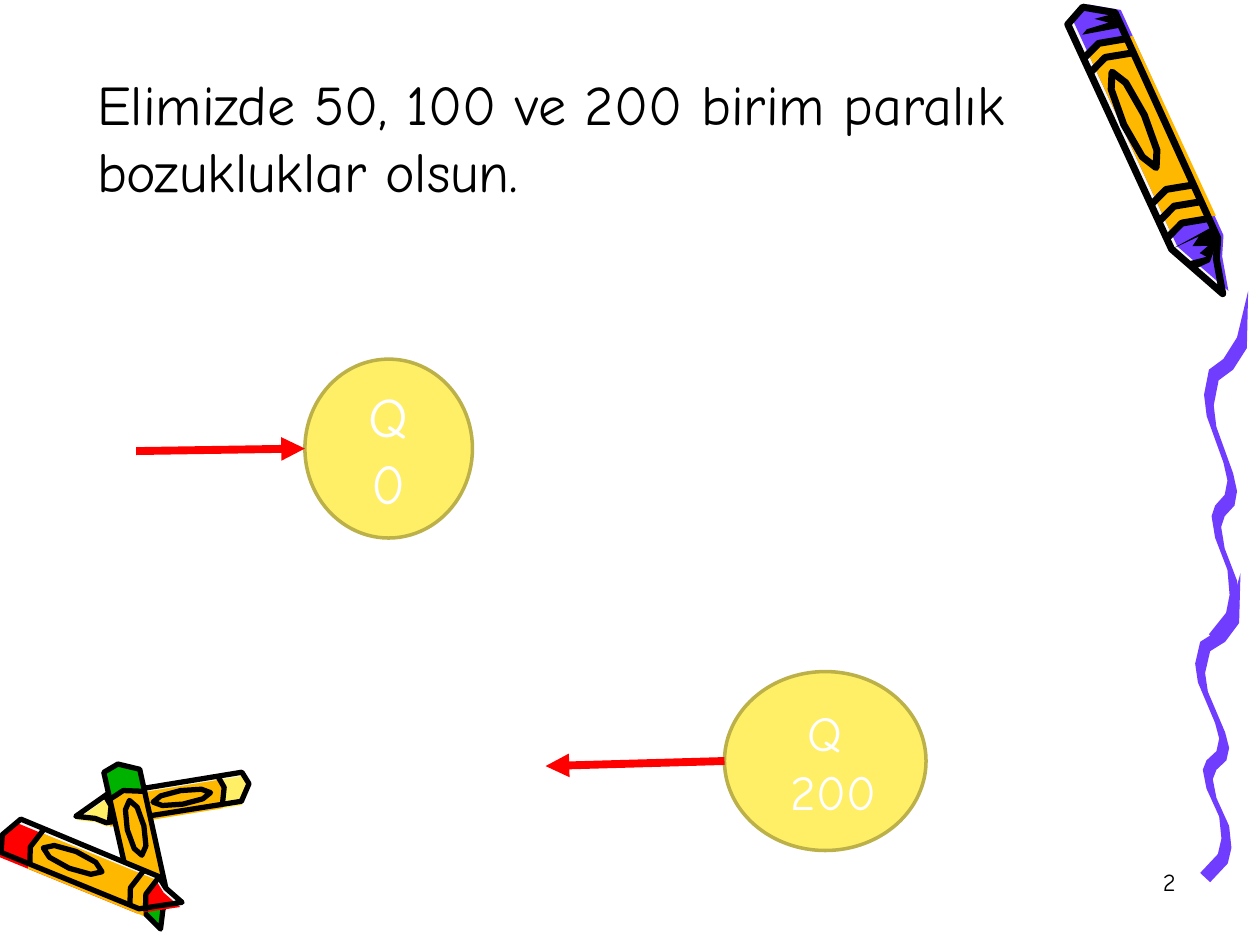
"""Build a crayon-themed slide with two coin automaton states."""
from dataclasses import dataclass
from math import cos, hypot, pi, sin

from lxml.etree import SubElement
from pptx import Presentation
from pptx.dml.color import RGBColor
from pptx.enum.shapes import MSO_CONNECTOR, MSO_SHAPE
from pptx.enum.text import MSO_ANCHOR, PP_ALIGN
from pptx.oxml.ns import qn
from pptx.util import Inches, Pt

Point = tuple[float, float]

COLORS = {
    "purple": "703DFF", "orange": "FFB800", "paper": "F8F8F8", "yellow": "FFEF66",
    "red": "FF0000", "green": "00B200", "black": "000000", "white": "FFFFFF", "olive": "BCB049",
}
FONT = "Comic Neue"

CRAYON_OUTLINE = [(0, -1), (-0.03, -0.17), (0.03, 0.9), (0.83, 0.85), (0.89, 0.45), (1, 0.1), (0.8, -1)]
CAP_TEETH = [(0.05, -0.65), (0.08, 0.8), (0.03, 0.75), (0.02, 0.05), (0.05, 0.5), (0.04, -0.4)]
NIB_TEETH = [(0.8, -1), (0.79, 0.85), (0.83, 0.9), (0.89, 0.16), (0.89, -0.4), (0.86, -0.54), (0.87, 0.13),
             (0.85, -0.05), (0.84, 0.37), (0.82, -0.2), (0.8, 0.2)]
WAVE_SPINE = [(1, 0), (0.75, 0.13), (0.44, 0.19), (0.11, 0.22), (0, 0.29), (0.06, 0.35), (0.44, 0.48),
              (0.53, 0.53), (0.47, 0.57), (0.25, 0.6), (0.17, 0.63), (0.25, 0.69), (0.53, 0.78),
              (0.58, 0.85), (0.5, 0.9), (0.11, 0.96)]
WAVE_PEN = (0.22, 0.03)


@dataclass
class Crayon:
    """Crayon along an axis; bands are fractions of its length, slip shifts its colours sideways."""
    cap: Point
    tip: Point
    half_width: float
    color: str
    bands: tuple[float, ...]
    slip: float = 0
    ink: float = 3
    emblem_offset: float = 0
    toothed: bool = False

    @property
    def length(self) -> float:
        """Return the distance from cap to tip."""
        return hypot(self.tip[0] - self.cap[0], self.tip[1] - self.cap[1])

    def locate(self, points: list[Point], slip: float = 0) -> list[Point]:
        """Turn (fraction along, half-widths across) into slide inches."""
        run, rise = self.tip[0] - self.cap[0], self.tip[1] - self.cap[1]
        placed = []
        for along, across in points:
            offset = (across * self.half_width + slip) / self.length
            placed.append((self.cap[0] + along * run + offset * rise,
                           self.cap[1] + along * rise - offset * run))
        return placed

    def band(self, along: float) -> list[Point]:
        """Return a line across the barrel, bowed towards the cap."""
        bow = 0.15 * self.half_width / self.length
        return [(along + bow, -1), (along - bow, -0.2), (along + bow, 0.9)]


@dataclass
class Wave:
    """Box filled by one wavy pen stroke."""
    left: float
    top: float
    width: float
    height: float


@dataclass
class State:
    """Automaton state with its label lines."""
    left: float
    top: float
    width: float
    height: float
    lines: list[str]
    size: int


@dataclass
class Arrow:
    """Straight arrow between two points."""
    start: Point
    end: Point


CRAYONS = [
    Crayon((1.94, 6.25), (0.6, 6.47), 0.12, "yellow", (0.13, 0.8), slip=0.03),
    Crayon((0.97, 6.1), (1.26, 7.38), 0.15, "green", (0.15, 0.8)),
    Crayon((0.07, 6.62), (1.44, 7.18), 0.16, "red", (0.15, 0.73, 0.82), slip=-0.04),
    Crayon((8.66, 0.11), (9.69, 2.34), 0.2, "purple", (0.11, 0.16, 0.63, 0.69, 0.75),
           slip=0.05, ink=4, emblem_offset=-0.2, toothed=True),
]
WAVES = [Wave(9.49, 4.55, 0.36, 2.48), Wave(9.56, 2.31, 0.35, 2.84)]
STATES = [
    State(2.42, 2.85, 1.33, 1.42, ["Q", "0"], 32),
    State(5.75, 5.33, 1.6, 1.42, ["Q", " 200"], 28),
]
ARROWS = [Arrow((1.08, 3.58), (2.42, 3.56)), Arrow((5.75, 6.04), (4.33, 6.08))]


def rgb(name: str) -> RGBColor:
    """Look up a named colour."""
    return RGBColor.from_string(COLORS[name])


def draw_path(page, points: list[Point], closed: bool = True):
    """Build a plain outline through points given in inches."""
    steps = [(round(x * 1000), round(y * 1000)) for x, y in points]
    builder = page.shapes.build_freeform(*steps[0], scale=Inches(0.001))
    builder.add_line_segments(steps[1:], close=closed)
    shape = builder.convert_to_shape()
    shape.shadow.inherit = False
    return shape


def fill_area(page, points: list[Point], color: str) -> None:
    """Draw a filled area without a border."""
    shape = draw_path(page, points)
    shape.fill.solid()
    shape.fill.fore_color.rgb = rgb(color)
    shape.line.fill.background()


def ink_line(page, points: list[Point], width: float, closed: bool = False) -> None:
    """Draw a black pen line without a fill."""
    shape = draw_path(page, points, closed)
    shape.fill.background()
    shape.line.color.rgb = rgb("black")
    shape.line.width = Pt(width)


def draw_crayon(page, crayon: Crayon) -> None:
    """Draw paper, colours, wrapper, bands, emblem and outline of one crayon."""
    outline = crayon.locate(CRAYON_OUTLINE)
    first, last = crayon.bands[0], crayon.bands[-1]
    wrapper = crayon.band(first) + crayon.band(last)[::-1]
    emblem = [(0.37 + 0.17 * cos(step * pi / 4), crayon.emblem_offset + 0.45 * sin(step * pi / 4))
              for step in range(8)]
    fill_area(page, outline, "paper")
    fill_area(page, crayon.locate(CRAYON_OUTLINE, crayon.slip), crayon.color)
    fill_area(page, crayon.locate(wrapper, crayon.slip), "orange")
    if crayon.toothed:
        for teeth in (CAP_TEETH, NIB_TEETH):
            fill_area(page, crayon.locate(teeth), "black")
    for along in crayon.bands:
        ink_line(page, crayon.locate(crayon.band(along)), crayon.ink)
    ink_line(page, crayon.locate(emblem), crayon.ink, closed=True)
    ink_line(page, outline, crayon.ink, closed=True)


def draw_wave(page, wave: Wave) -> None:
    """Sweep a slanted pen along the spine, stretched to the box."""
    far_side = [(x + WAVE_PEN[0], y + WAVE_PEN[1]) for x, y in WAVE_SPINE[1:]]
    ribbon = WAVE_SPINE + far_side[::-1]
    fill_area(page, [(wave.left + x * wave.width, wave.top + y * wave.height) for x, y in ribbon], "purple")


def write(box, lines: list[str], size: int, color: str, align, anchor, before: int = 0) -> None:
    """Fill a shape with uniformly formatted paragraphs."""
    frame = box.text_frame
    frame.word_wrap = True
    frame.vertical_anchor = anchor
    for index, line in enumerate(lines):
        para = frame.add_paragraph() if index else frame.paragraphs[0]
        para.alignment, para.space_before = align, Pt(before)
        span = para.add_run()
        span.text = line
        for name, value in {"name": FONT, "size": Pt(size)}.items():
            setattr(span.font, name, value)
        span.font.color.rgb = rgb(color)


def draw_state(page, state: State) -> None:
    """Draw one labelled ellipse."""
    lengths = map(Inches, (state.left, state.top, state.width, state.height))
    shape = page.shapes.add_shape(MSO_SHAPE.OVAL, *lengths)
    shape.shadow.inherit = False
    shape.fill.solid()
    shape.fill.fore_color.rgb = rgb("yellow")
    shape.line.color.rgb = rgb("olive")
    shape.line.width = Pt(2)
    write(shape, state.lines, state.size, "white", PP_ALIGN.CENTER, MSO_ANCHOR.MIDDLE)


def draw_arrow(page, arrow: Arrow) -> None:
    """Draw one red arrow."""
    connector = page.shapes.add_connector(MSO_CONNECTOR.STRAIGHT, *map(Inches, arrow.start + arrow.end))
    connector.line.color.rgb = rgb("red")
    connector.line.width = Pt(4.5)
    properties = connector._element.spPr
    SubElement(properties.find(qn("a:ln")), qn("a:tailEnd"), type="triangle")
    SubElement(properties, qn("a:effectLst"))


def main() -> None:
    """Assemble and save the deck."""
    deck = Presentation()
    deck.slide_width, deck.slide_height = Inches(10), Inches(7.5)
    page = deck.slides.add_slide(deck.slide_layouts[5])
    title = page.shapes.title
    for name, value in {"left": 0.67, "top": 0.5, "width": 8.42, "height": 1.33}.items():
        setattr(title, name, Inches(value))
    write(title, ["Elimizde 50, 100 ve 200 birim paralık bozukluklar olsun."], 32, "black",
          PP_ALIGN.LEFT, MSO_ANCHOR.TOP, before=8)
    number = page.shapes.add_textbox(Inches(7.35), Inches(6.83), Inches(2.08), Inches(0.5))
    write(number, ["2"], 14, "black", PP_ALIGN.RIGHT, MSO_ANCHOR.TOP)
    for draw, items in ((draw_wave, WAVES), (draw_crayon, CRAYONS), (draw_state, STATES), (draw_arrow, ARROWS)):
        for item in items:
            draw(page, item)
    deck.save("out.pptx")


if __name__ == "__main__":
    main()
